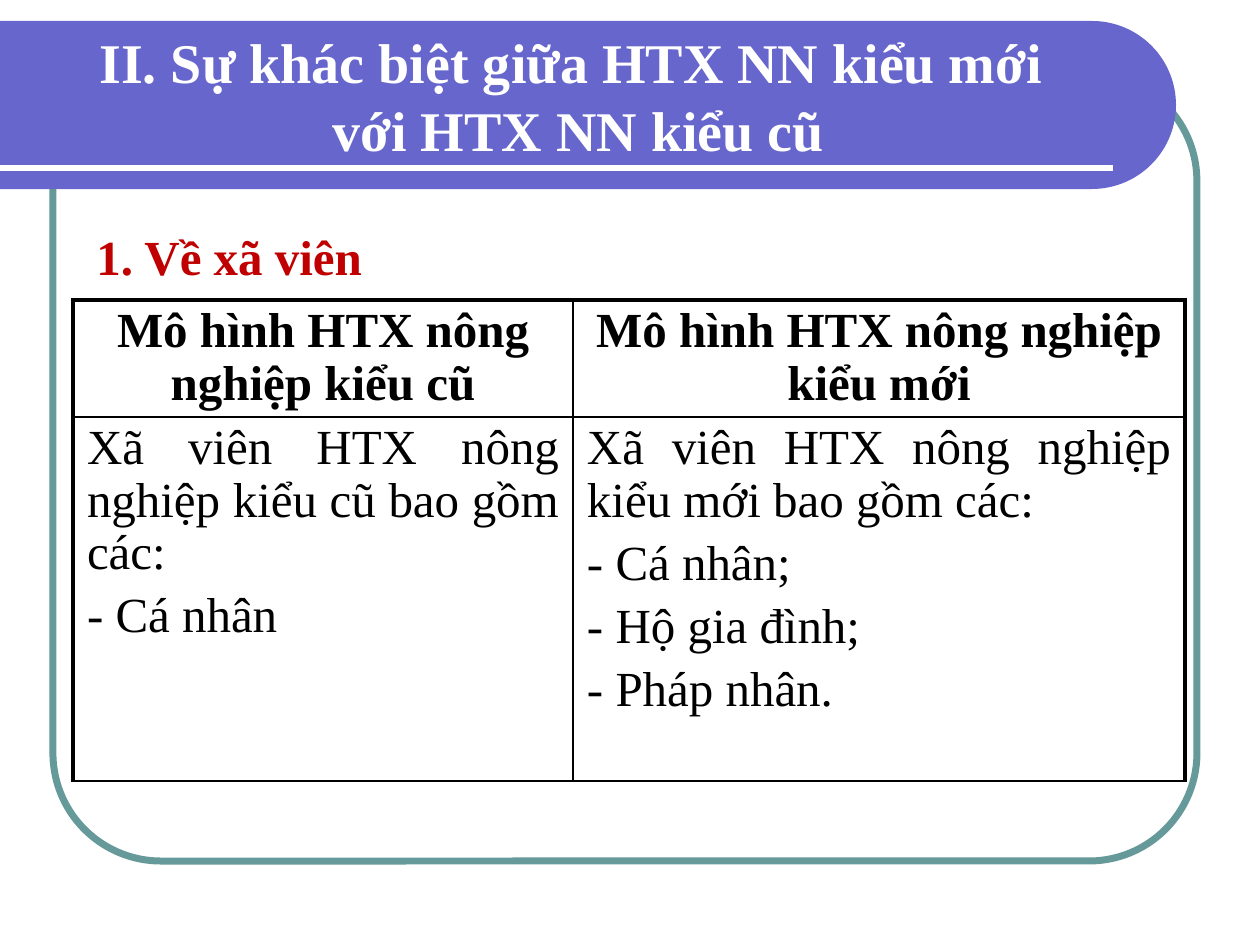
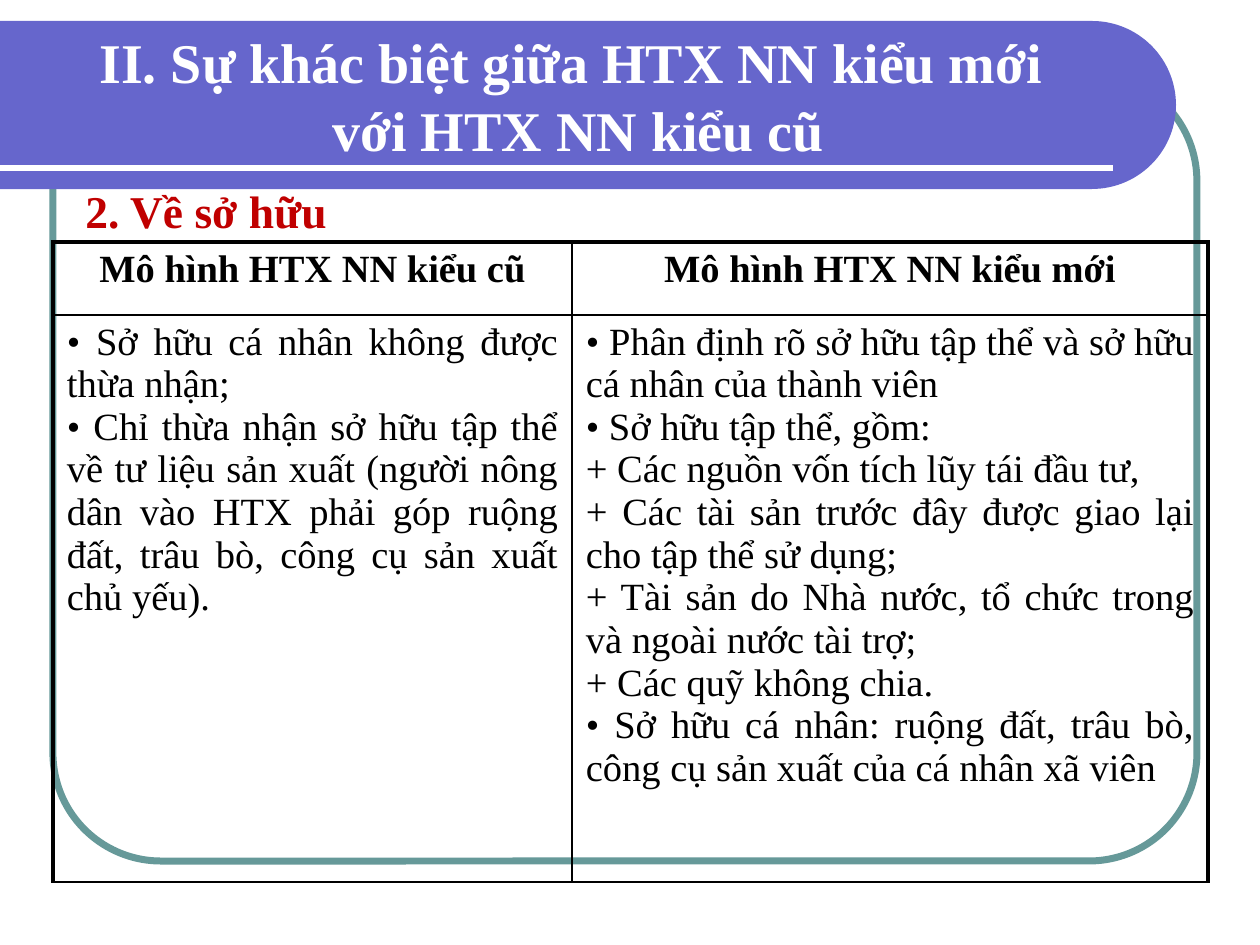
import math
from lxml import etree
from pptx import Presentation
from pptx.dml.color import RGBColor
from pptx.enum.shapes import MSO_CONNECTOR, MSO_SHAPE
from pptx.enum.text import MSO_ANCHOR, MSO_AUTO_SIZE, PP_ALIGN
from pptx.oxml.ns import qn
from pptx.util import Emu, Pt

CENTER, JUSTIFY = PP_ALIGN.CENTER, PP_ALIGN.JUSTIFY
FONT = "Times New Roman"
COLORS = {"frame": "669999", "band": "6666CC", "white": "FFFFFF",
          "heading": "C00000", "black": "000000"}

# Content: boxes are left, top, width, height in px
TITLE = "II. Sự khác biệt giữa HTX NN kiểu mới \vvới HTX NN kiểu cũ"
SLIDES = [
    {
        "heading": "1. Về xã viên",
        "heading_box": (84, 220, 1092, 70),
        "heading_format": {"size": 28, "before": 5.6},
        "table_at": (73, 300), "cols": (500, 612), "rows": (117, 364),
        "head_format": {"size": 28, "spacing": 30, "before": 12},
        "body_format": {"size": 28, "spacing": 30, "before": 6},
        "cells": [
            [["Mô hình HTX nông nghiệp kiểu cũ"],
             ["Mô hình HTX nông nghiệp kiểu mới"]],
            [["Xã viên HTX nông nghiệp kiểu cũ bao gồm các:", "- Cá nhân"],
             ["Xã viên HTX nông nghiệp kiểu mới bao gồm các:", "- Cá nhân;",
              "- Hộ gia đình;", "- Pháp nhân."]],
        ],
    },
    {
        "heading": "2. Về sở hữu",
        "heading_box": (73, 179, 1092, 63),
        "heading_format": {"size": 26, "spacing": 30, "before": 3},
        "table_at": (53, 242), "cols": (519, 636), "rows": (73, 567),
        "head_format": {"size": 22},
        "body_format": {"size": 22},
        "cells": [
            [["Mô hình HTX NN kiểu cũ"], ["Mô hình HTX NN kiểu mới"]],
            [["• Sở hữu cá nhân không được thừa nhận;",
              "• Chỉ thừa nhận sở hữu tập thể về tư liệu sản xuất (người nông "
              "dân vào HTX phải góp ruộng đất, trâu bò, công cụ sản xuất chủ yếu)."],
             ["• Phân định rõ sở hữu tập thể và sở hữu cá nhân của thành viên",
              "• Sở hữu tập thể, gồm:",
              "+ Các nguồn vốn tích lũy tái đầu tư, ",
              "+ Các tài sản trước đây được giao lại cho tập thể sử dụng;",
              "+ Tài sản do Nhà nước, tổ chức trong và ngoài nước tài trợ;",
              "+ Các quỹ không chia.",
              "• Sở hữu cá nhân: ruộng đất, trâu bò, công cụ sản xuất của cá nhân xã viên"]],
        ],
    },
]


def px(n):
    return Emu(round(n * 914400 / 126))


def rgb(name):
    return RGBColor.from_string(COLORS[name])


def write(tf, lines, size, color="black", bold=False, align=JUSTIFY,
          spacing=None, before=0):
    tf.word_wrap = True
    for i, line in enumerate(lines):
        p = tf.paragraphs[0] if i == 0 else tf.add_paragraph()
        p.text = line
        p.alignment = align
        p.space_before = Pt(before)
        if spacing:
            p.line_spacing = Pt(spacing)
        for r in p.runs:
            r.font.name, r.font.size, r.font.bold = FONT, Pt(size), bold
            r.font.color.rgb = rgb(color)


def add_background(s):
    # Rounded frame
    frame = s.shapes.add_shape(MSO_SHAPE.ROUNDED_RECTANGLE,
                               *map(px, (53, 73, 1144, 788)))
    frame.adjustments[0] = 0.137
    frame.fill.background()
    frame.line.color.rgb, frame.line.width = rgb("frame"), Pt(4)
    frame.shadow.inherit = False

    # Title band with a half-round right end
    top, right, radius = 21, 1176, 84
    angles = [math.radians(a) for a in range(-90, 91, 3)]
    arc = [(px(right - radius + radius * math.cos(a)),
            px(top + radius + radius * math.sin(a))) for a in angles]
    builder = s.shapes.build_freeform(0, px(top), scale=1.0)
    builder.add_line_segments(arc + [(0, px(top + 2 * radius))], close=True)
    band = builder.convert_to_shape()
    band.fill.solid()
    band.fill.fore_color.rgb = rgb("band")
    band.line.fill.background()
    band.shadow.inherit = False

    # White rule
    rule = s.shapes.add_connector(MSO_CONNECTOR.STRAIGHT,
                                  *map(px, (0, 168, 1113, 168)))
    rule.line.color.rgb, rule.line.width = rgb("white"), Pt(3)
    etree.SubElement(rule._element.spPr, qn("a:effectLst"))


def add_title(s):
    title = s.shapes.title
    title.left, title.top, title.width, title.height = map(px, (26, 32, 1105, 126))
    tf = title.text_frame
    tf.auto_size = MSO_AUTO_SIZE.NONE
    tf.vertical_anchor = MSO_ANCHOR.MIDDLE
    write(tf, [TITLE], 32, color="white", bold=True, align=CENTER)
    title.element.getparent().append(title.element)  # bring above the band


def set_border(cell, side, width):
    ln = etree.SubElement(cell._tc.get_or_add_tcPr(), qn(f"a:ln{side}"),
                          w=str(Pt(width)))
    fill = etree.SubElement(ln, qn("a:solidFill"))
    etree.SubElement(fill, qn("a:srgbClr"), val=COLORS["black"])


def add_comparison(s, data):
    cols, rows = data["cols"], data["rows"]
    box = (*data["table_at"], sum(cols), sum(rows))
    table = s.shapes.add_table(len(rows), len(cols), *map(px, box)).table
    table.first_row = table.horz_banding = False
    for col, width in zip(table.columns, cols):
        col.width = px(width)
    for row, height in zip(table.rows, rows):
        row.height = px(height)

    for i, row in enumerate(data["cells"]):
        for j, lines in enumerate(row):
            cell = table.cell(i, j)
            cell.margin_left = cell.margin_right = px(14)
            cell.margin_top = cell.margin_bottom = px(6)
            if i == 0:
                write(cell.text_frame, lines, bold=True, align=CENTER,
                      **data["head_format"])
            else:
                write(cell.text_frame, lines, **data["body_format"])
            # Thick outer edges, except at the bottom
            thick = {"L": j == 0, "R": j == len(cols) - 1, "T": i == 0, "B": False}
            for side, is_thick in thick.items():
                set_border(cell, side, 2.25 if is_thick else 1)
            cell.fill.background()


def main():
    prs = Presentation()
    prs.slide_width, prs.slide_height = px(1260), px(945)
    for data in SLIDES:
        s = prs.slides.add_slide(prs.slide_layouts[5])
        add_background(s)
        add_title(s)
        heading = s.shapes.add_textbox(*map(px, data["heading_box"]))
        write(heading.text_frame, [data["heading"]], color="heading", bold=True,
              **data["heading_format"])
        add_comparison(s, data)
    prs.save("out.pptx")


if __name__ == "__main__":
    main()
